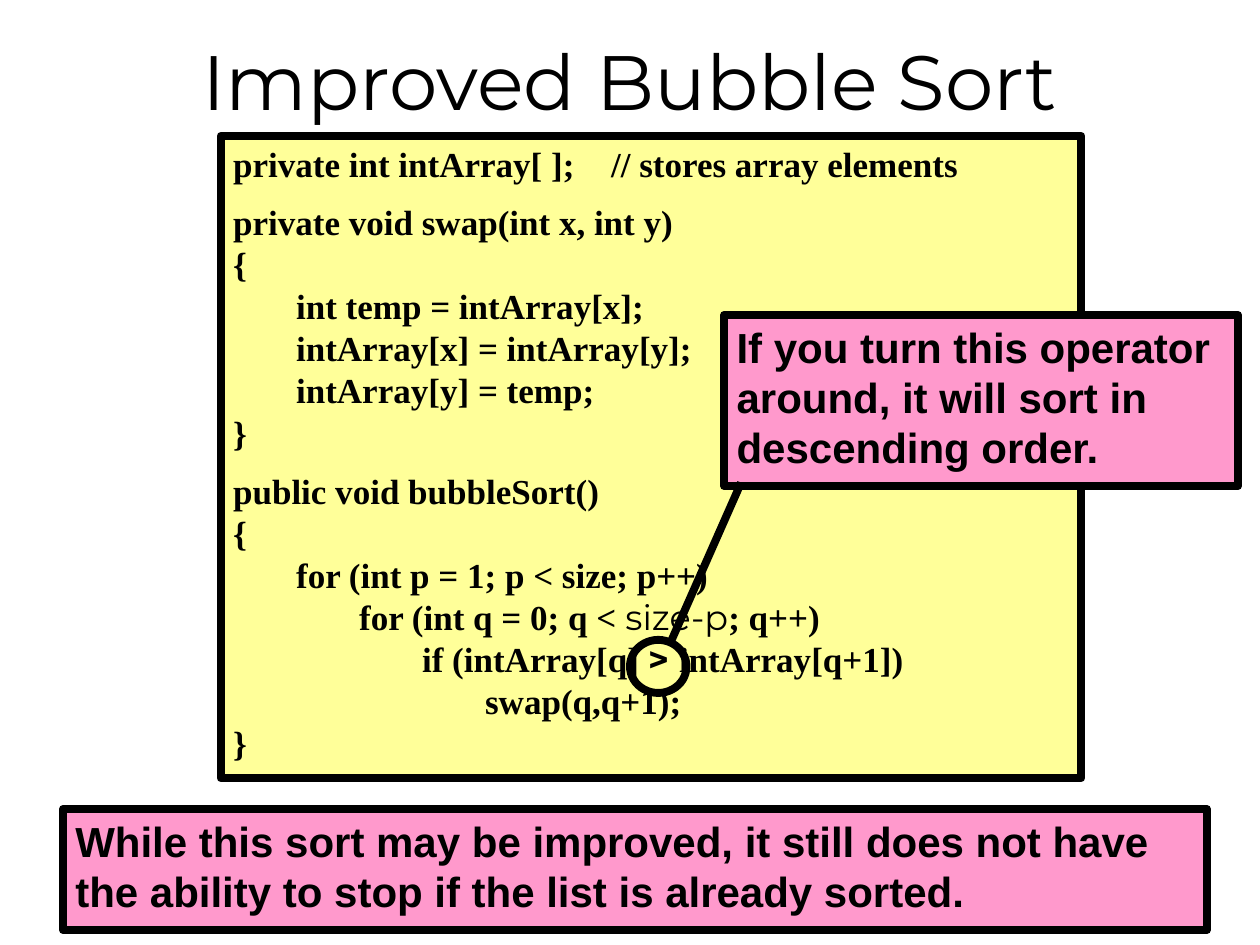
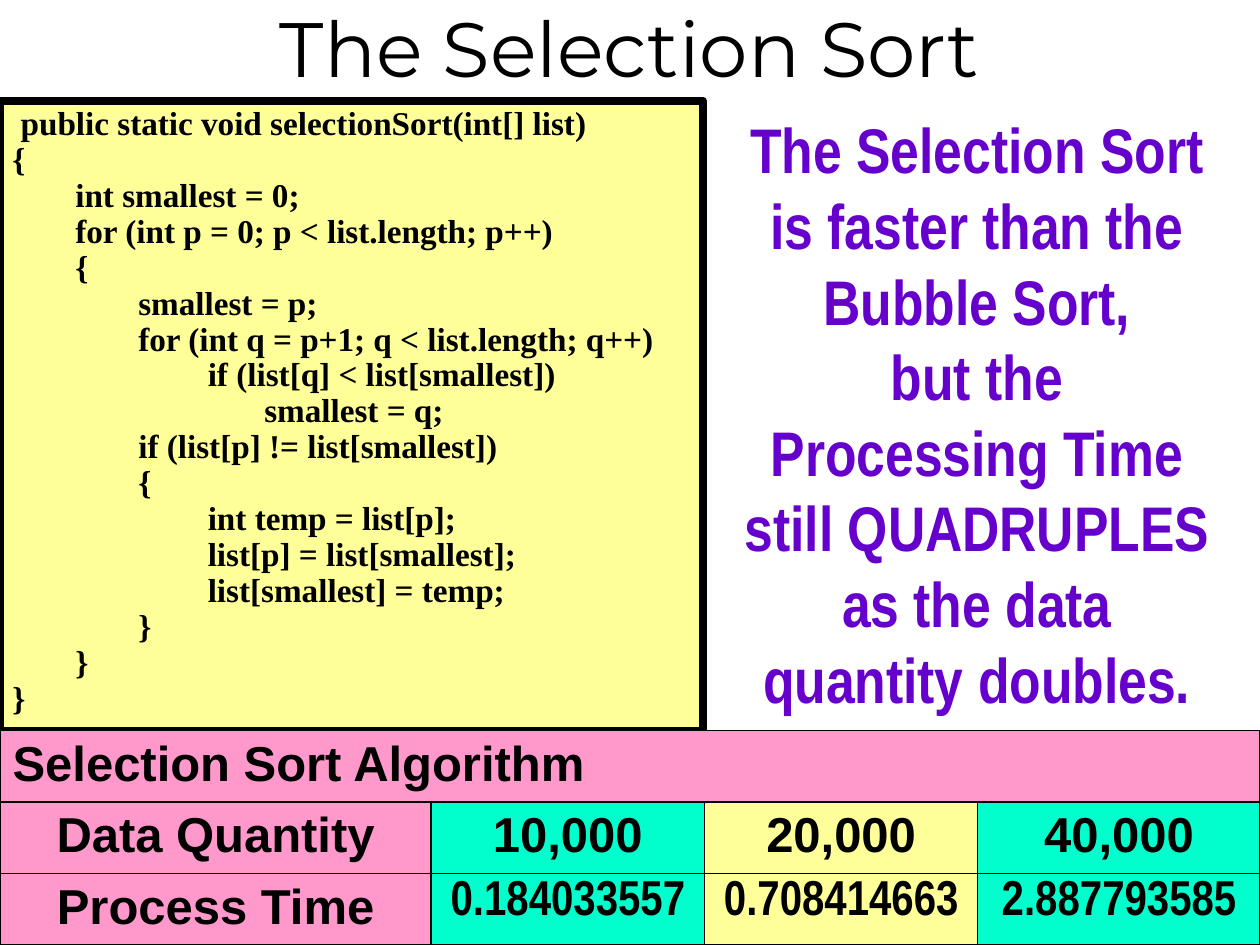
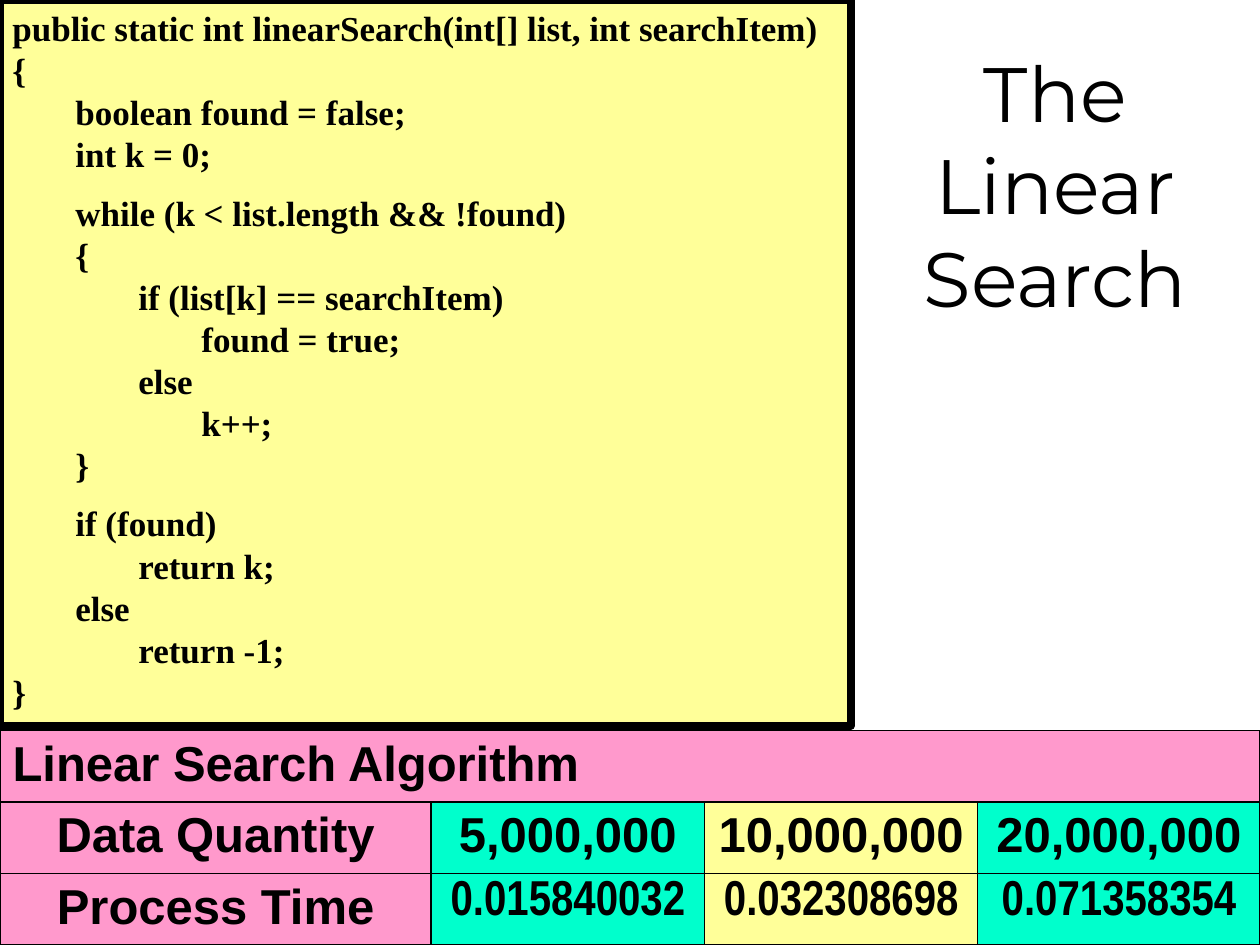
from dataclasses import dataclass, field

from lxml import etree
from pptx import Presentation
from pptx.dml.color import RGBColor
from pptx.enum.shapes import MSO_CONNECTOR, MSO_SHAPE
from pptx.enum.text import MSO_ANCHOR, PP_ALIGN
from pptx.oxml.ns import qn
from pptx.util import Cm, Pt

RECT, OVAL, LINE = MSO_SHAPE.RECTANGLE, MSO_SHAPE.OVAL, MSO_CONNECTOR.STRAIGHT
TOP, MIDDLE = MSO_ANCHOR.TOP, MSO_ANCHOR.MIDDLE
LEFT, CENTER, JUSTIFY = PP_ALIGN.LEFT, PP_ALIGN.CENTER, PP_ALIGN.JUSTIFY

COLORS = {"ink": "000000", "code": "FFFF99", "pink": "FF99CC", "mint": "00FFCC", "claim": "6600CC"}
SANS, NARROW, HEAD, SERIF = "Arial", "Arial Narrow", "Montserrat", "Times New Roman"
EDGE = Pt(4.5)
GAP = Pt(9.6)
TABS = [1.27 * step for step in range(1, 7)]
COLUMNS = (8.69, 5.51, 5.51, 5.69)
FILLS = ("pink", "mint", "code", "mint")


@dataclass
class Box:
    left: float
    top: float
    width: float
    height: float

    def place(self) -> tuple:
        return Cm(self.left), Cm(self.top), Cm(self.width), Cm(self.height)


@dataclass
class Type:
    font: str
    size: float
    bold: bool = True
    color: str = "ink"


@dataclass
class Code:
    box: Box
    blocks: list
    size: float = 20
    lead: float = 1.0
    tabs: list = field(default_factory=lambda: TABS)
    marks: dict = field(default_factory=dict)


TITLE = Type(HEAD, 44, False)
NOTE = Type(SANS, 24)
CLAIM = Type(NARROW, 36, True, "claim")
GRID = Box(0, 14.73, 25.4, 4.32)

BUBBLE = Code(Box(4.45, 2.74, 17.35, 12.95), [
    "private int intArray[ ];    // stores array elements",
    """private void swap(int x, int y)
{
    int temp = intArray[x];
    intArray[x] = intArray[y];
    intArray[y] = temp;
}""",
    """public void bubbleSort()
{
    for (int p = 1; p < size; p++)
        for (int q = 0; q < size-p; q++)
            if (intArray[q] > intArray[q+1])
                swap(q,q+1);
}"""], marks={"size-p": False, "> ": True})

SELECT = Code(Box(0, 2.03, 14.17, 12.7), [
    """ public static void selectionSort(int[] list)
{
    int smallest = 0;
    for (int p = 0; p < list.length; p++)
    {
        smallest = p;
        for (int q = p+1; q < list.length; q++)
            if (list[q] < list[smallest])
                smallest = q;
        if (list[p] != list[smallest])
        {
            int temp = list[p];
            list[p] = list[smallest];
            list[smallest] = temp;
        }
    }
}"""], 19, 0.9, [1.27, 2.54, 3.94, 5.08])

LINEAR = Code(Box(0, 0, 17.15, 14.63), [
    """public static int linearSearch(int[] list, int searchItem)
{
    boolean found = false;
    int k = 0;""",
    """    while (k < list.length && !found)
    {
        if (list[k] == searchItem)
            found = true;
        else
            k++;
    }""",
    """    if (found)
        return k;
    else
        return -1;
}"""])

BOAST = """The Selection Sort
is faster than the
Bubble Sort,
but the
Processing Time
still QUADRUPLES
as the data
quantity doubles."""


def tint(name: str) -> RGBColor:
    return RGBColor.from_string(COLORS[name])


def style(run, kind: Type) -> None:
    run.font.name, run.font.size, run.font.bold = kind.font, Pt(kind.size), kind.bold
    run.font.color.rgb = tint(kind.color)


def write(frame, text: str, kind: Type, align=LEFT, anchor=TOP) -> None:
    frame.text = text
    frame.vertical_anchor = anchor
    for par in frame.paragraphs:
        par.alignment = align
        for run in par.runs:
            style(run, kind)


def label(slide, box: Box, text: str, kind: Type, anchor=TOP, wrap: bool = True):
    frame = slide.shapes.add_textbox(*box.place()).text_frame
    frame.word_wrap = wrap
    write(frame, text, kind, CENTER, anchor)
    return frame


def panel(slide, box: Box, fill: str = "", form=RECT):
    shape = slide.shapes.add_shape(form, *box.place())
    shape.shadow.inherit = False
    if fill:
        shape.fill.solid()
        shape.fill.fore_color.rgb = tint(fill)
    else:
        shape.fill.background()
    shape.line.color.rgb = tint("ink")
    shape.line.width = EDGE
    return shape.text_frame


def note(slide, box: Box, text: str) -> None:
    write(panel(slide, box, "pink"), text, NOTE)


def stops(par, tabs: list) -> None:
    row = etree.SubElement(par._p.get_or_add_pPr(), qn("a:tabLst"))
    for tab in tabs:
        etree.SubElement(row, qn("a:tab"), pos=str(Cm(tab)), algn="l")


def listing(slide, code: Code) -> None:
    frame = panel(slide, code.box, "code")
    frame.vertical_anchor = TOP
    lines = [(text.replace("    ", "\t"), block > 0 and row == 0)
             for block, body in enumerate(code.blocks)
             for row, text in enumerate(body.split("\n"))]
    for index, (text, gap) in enumerate(lines):
        par = frame.add_paragraph() if index else frame.paragraphs[0]
        stops(par, code.tabs)
        par.alignment = LEFT
        par.line_spacing = code.lead
        if gap:
            par.space_before = GAP
        mark = next((key for key in code.marks if key in text), None)
        parts = text.partition(mark) if mark else (text,)
        for part in parts:
            run = par.add_run()
            run.text = part
            special = part == mark
            style(run, Type(HEAD if special else SERIF, code.size,
                            code.marks[mark] if special else True))


def border(cell) -> None:
    props = cell._tc.get_or_add_tcPr()
    for index, side in enumerate("LRTB"):
        edge = etree.Element(qn(f"a:ln{side}"), w=str(Pt(1)))
        fill = etree.SubElement(edge, qn("a:solidFill"))
        etree.SubElement(fill, qn("a:srgbClr"), val=COLORS["ink"])
        props.insert(index, edge)


def timing(slide, name: str, counts: tuple, times: tuple) -> None:
    rows = [(name, "", "", ""), ("Data Quantity", *counts), ("Process Time", *times)]
    table = slide.shapes.add_table(len(rows), len(COLUMNS), *GRID.place()).table
    table.first_row = table.horz_banding = False
    for column, width in zip(table.columns, COLUMNS):
        column.width = Cm(width)
    table.cell(0, 0).merge(table.cell(0, 3))
    for y, row in enumerate(rows):
        table.rows[y].height = Cm(GRID.height / len(rows))
        for x, text in enumerate(row):
            cell = table.cell(y, x)
            cell.fill.solid()
            cell.fill.fore_color.rgb = tint(FILLS[x] if y else "pink")
            border(cell)
            if text:
                font = NARROW if x and y == 2 else SANS
                write(cell.text_frame, text, Type(font, 28), CENTER if y else JUSTIFY)


def link(slide, start: tuple, end: tuple) -> None:
    line = slide.shapes.add_connector(LINE, *map(Cm, start + end))
    line.line.color.rgb = tint("ink")
    line.line.width = EDGE
    etree.SubElement(line._element.spPr, qn("a:effectLst"))


def bubble(slide) -> None:
    listing(slide, BUBBLE)
    label(slide, Box(0, 0.43, 25.4, 2.34), "Improved Bubble Sort", TITLE, MIDDLE)
    note(slide, Box(1.27, 16.31, 23.06, 2.44),
         "While this sort may be improved, it still does not have "
         "the ability to stop if the list is already sorted.")
    note(slide, Box(14.6, 6.35, 10.36, 3.45),
         "If you turn this operator around, it will sort in descending order.")
    panel(slide, Box(12.7, 12.9, 1.14, 1.07), form=OVAL)
    link(slide, (14.94, 9.73), (13.54, 12.9))


def select(slide) -> None:
    label(slide, Box(0, 0, 25.4, 1.9), "The Selection Sort", TITLE, MIDDLE)
    listing(slide, SELECT)
    timing(slide, "Selection Sort Algorithm", ("10,000", "20,000", "40,000"),
           ("0.184033557", "0.708414663", "2.887793585"))
    label(slide, Box(14.6, 2.11, 10.19, 11.63), BOAST, CLAIM, wrap=False)


def linear(slide) -> None:
    label(slide, Box(17.15, 0, 8.25, 7.42), "The\vLinear Search", TITLE, MIDDLE)
    timing(slide, "Linear Search Algorithm", ("5,000,000", "10,000,000", "20,000,000"),
           ("0.015840032", "0.032308698", "0.071358354"))
    listing(slide, LINEAR)


def main() -> None:
    deck = Presentation()
    deck.slide_width, deck.slide_height = Cm(25.4), Cm(19.05)
    for draw in (bubble, select, linear):
        draw(deck.slides.add_slide(deck.slide_layouts[6]))
    deck.save("out.pptx")


if __name__ == "__main__":
    main()
